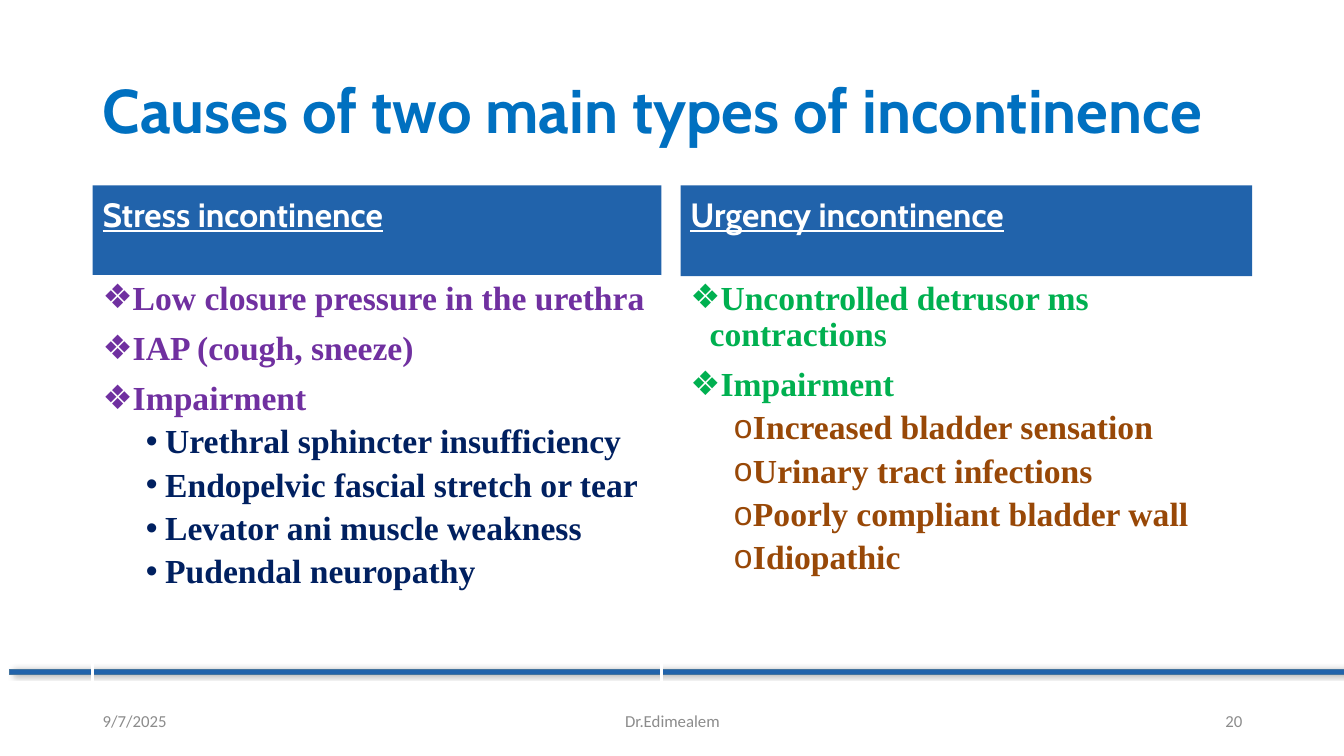
from lxml import etree
from pptx import Presentation
from pptx.dml.color import RGBColor
from pptx.enum.shapes import MSO_SHAPE
from pptx.enum.text import MSO_ANCHOR, PP_ALIGN
from pptx.oxml.ns import qn
from pptx.util import Inches, Pt

RECT = MSO_SHAPE.RECTANGLE
TOP, MIDDLE = MSO_ANCHOR.TOP, MSO_ANCHOR.MIDDLE
LEFT, CENTER, RIGHT = PP_ALIGN.LEFT, PP_ALIGN.CENTER, PP_ALIGN.RIGHT

BLUE, WHITE, GREY = "2163AB", "FFFFFF", "8C8C8C"
SERIF = "Times New Roman"

# Each column: left, width, header, colours and bullets by level, items, frame
COLUMNS = [
    (0.92, 5.64, "Stress incontinence", ("7030A0", "002060"), "❖•", [
        (0, "Low closure pressure in the urethra"),
        (0, "IAP (cough, sneeze)"),
        (0, "Impairment"),
        (1, "Urethral sphincter insufficiency"),
        (1, "Endopelvic fascial stretch or tear"),
        (1, "Levator ani muscle weakness"),
        (1, "Pudendal neuropathy"),
    ], True),
    (6.75, 5.67, "Urgency incontinence", ("00B050", "984807"), "❖o", [
        (0, "Uncontrolled detrusor ms contractions"),
        (0, "Impairment"),
        (1, "Increased bladder sensation"),
        (1, "Urinary tract infections"),
        (1, "Poorly compliant bladder wall"),
        (1, "Idiopathic"),
    ], False),
]

FOOTER = [
    (0.92, 3, "9/7/2025", LEFT),
    (4.42, 4.5, "Dr.Edimealem", CENTER),
    (9.42, 3, "20", RIGHT),
]


def color(value):
    return RGBColor.from_string(value)


def add_rect(slide, box, fill=None, line=None, width=1):
    shape = slide.shapes.add_shape(RECT, *map(Inches, box))
    shape.shadow.inherit = False
    if fill:
        shape.fill.solid()
        shape.fill.fore_color.rgb = color(fill)
    else:
        shape.fill.background()
    if line:
        shape.line.color.rgb = color(line)
        shape.line.width = Pt(width)
    else:
        shape.line.fill.background()
    return shape


def add_box(slide, box):
    return slide.shapes.add_textbox(*map(Inches, box))


def set_frame(shape, anchor=TOP, inset=0.05):
    frame = shape.text_frame
    frame.word_wrap = True
    frame.vertical_anchor = anchor
    frame.margin_top = Inches(inset)
    return frame


def set_bullet(para, mark, margin):
    props = para._p.get_or_add_pPr()
    props.set("marL", str(Inches(margin)))
    props.set("indent", str(Inches(-0.19)))
    etree.SubElement(props, qn("a:buFont")).set("typeface", "Arial")
    etree.SubElement(props, qn("a:buChar")).set("char", mark)


def write(para, text, size=24, font="Cabin", ink=WHITE, bold=False,
          under=False, align=LEFT, space=None):
    para.alignment = align
    if space:
        para.line_spacing = space
    run = para.add_run()
    run.text = text
    run.font.size = Pt(size)
    run.font.name = font
    run.font.bold = bold
    run.font.underline = under
    run.font.color.rgb = color(ink)


def add_rule(slide):
    rule = add_rect(slide, (0.09, 6.64, 13.25, 0.05), BLUE, "43739E", 0.5)
    effects = rule._element.spPr.find(qn("a:effectLst"))
    shadow = etree.SubElement(effects, qn("a:outerShdw"), blurRad=str(Pt(4)),
                              dist=str(Pt(3)), dir="0")
    tint = etree.SubElement(shadow, qn("a:srgbClr"), val="000000")
    etree.SubElement(tint, qn("a:alpha"), val="40000")


def add_list(shape, items, inks, marks):
    frame = set_frame(shape)
    for i, (level, text) in enumerate(items):
        para = frame.add_paragraph() if i else frame.paragraphs[0]
        para.level = level
        if i:
            para.space_before = Pt((10, 5)[level])
        para.line_spacing = 0.9
        set_bullet(para, marks[level], (0.19, 0.62)[level])
        write(para, text, font=SERIF, ink=inks[level], bold=True)


def add_column(slide, left, width, head, inks, marks, items, framed):
    # Header band
    band = add_rect(slide, (left, 1.84, width, 0.9), BLUE)
    write(set_frame(band, inset=0.13).paragraphs[0], head, bold=True,
          under=True, space=0.9)
    # Causes
    box = (left, 2.74, width, 4.03)
    body = add_rect(slide, box, line=WHITE, width=2.25) if framed else add_box(slide, box)
    add_list(body, items, inks, marks)


def main():
    deck = Presentation()
    deck.slide_width, deck.slide_height = Inches(13.33), Inches(7.5)
    slide = deck.slides.add_slide(deck.slide_layouts[6])

    add_rule(slide)

    # Title
    title = set_frame(add_box(slide, (0.92, 0.4, 11.5, 1.45)), MIDDLE)
    write(title.paragraphs[0], "Causes of two main types of incontinence",
          size=44, ink="0070C0", bold=True, space=0.9)

    # Comparison
    for column in COLUMNS:
        add_column(slide, *column)

    # Footer
    for left, width, text, align in FOOTER:
        frame = set_frame(add_box(slide, (left, 6.95, width, 0.4)), MIDDLE)
        write(frame.paragraphs[0], text, size=12, font="Calibri", ink=GREY,
              align=align)

    deck.save("out.pptx")


if __name__ == "__main__":
    main()
